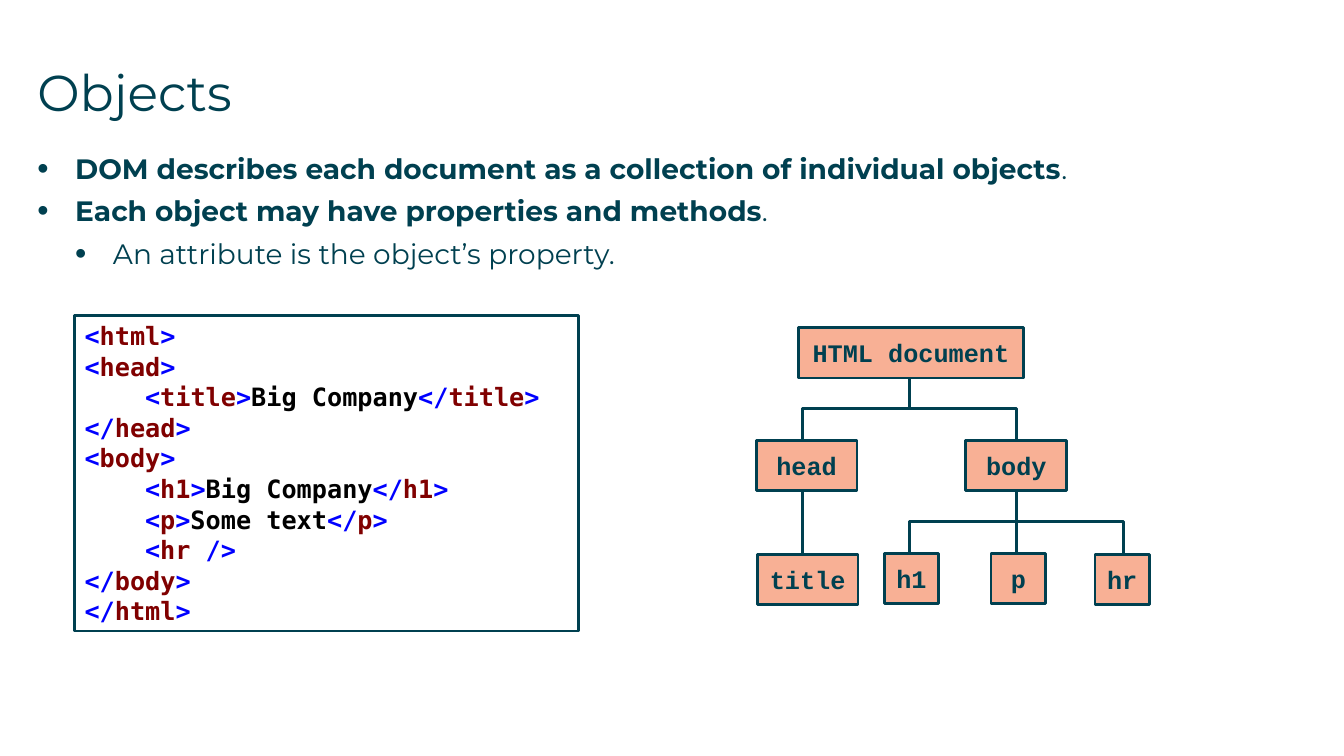
from itertools import cycle

from lxml import etree
from pptx import Presentation
from pptx.dml.color import RGBColor
from pptx.enum.shapes import MSO_CONNECTOR, MSO_SHAPE
from pptx.enum.text import MSO_ANCHOR, PP_ALIGN
from pptx.oxml.ns import qn
from pptx.util import Inches, Pt

RECTANGLE = MSO_SHAPE.RECTANGLE
PROCESS = MSO_SHAPE.FLOWCHART_PROCESS
STRAIGHT = MSO_CONNECTOR.STRAIGHT
ELBOW = MSO_CONNECTOR.ELBOW
TOP = MSO_ANCHOR.TOP
MIDDLE = MSO_ANCHOR.MIDDLE
LEFT = PP_ALIGN.LEFT
CENTER = PP_ALIGN.CENTER

COLORS = {
    "ink": "004050",
    "node": "F3622C",
    "paper": "FFFFFF",
    "bracket": "0000FF",
    "name": "800000",
    "text": "000000",
}


def add_span(para, text, font, size, color, bold=False):
    span = para.add_run()
    span.text = text
    span.font.name = font
    span.font.size = Pt(size)
    span.font.bold = bold
    span.font.color.rgb = RGBColor.from_string(COLORS[color])


def draw_line(kind, x1, y1, x2, y2):
    line = page.shapes.add_connector(kind, Inches(x1), Inches(y1), Inches(x2), Inches(y2))
    line.line.color.rgb = RGBColor.from_string(COLORS["ink"])
    line.line.width = Pt(2)
    etree.SubElement(line._element.spPr, qn("a:effectLst"))
    return line


deck = Presentation()
deck.slide_width = Inches(13.33)
deck.slide_height = Inches(7.5)
page = deck.slides.add_slide(deck.slide_layouts[1])
title = page.shapes.title
body = page.placeholders[1]

for holder, top, height in [(title, 0.61, 0.88), (body, 1.5, 1.48)]:
    holder.left, holder.top = Inches(0.37), Inches(top)
    holder.width, holder.height = Inches(12.6), Inches(height)
    frame = holder.text_frame
    frame.margin_left = frame.margin_right = frame.margin_top = frame.margin_bottom = 0
    frame.vertical_anchor = TOP
    frame.word_wrap = True

heading = title.text_frame.paragraphs[0]
heading.alignment = LEFT
add_span(heading, "Objects", "Montserrat", 36, "ink")

points = [
    (0, "DOM describes each document as a collection of individual objects", "."),
    (0, "Each object may have properties and methods", "."),
    (1, "", "An attribute is the object’s property."),
]
for index, (level, strong, plain) in enumerate(points):
    para = body.text_frame.paragraphs[0] if index == 0 else body.text_frame.add_paragraph()
    para.level = level
    para.line_spacing = 1.0
    para.space_before = Pt(0)
    para.space_after = Pt(6.5)
    props = para._p.get_or_add_pPr()
    props.set("marL", str(Inches(0.375 * (level + 1))))
    props.set("indent", str(Inches(-0.375)))
    etree.SubElement(props, qn("a:buSzPct"), val="115000")
    etree.SubElement(props, qn("a:buFont"), typeface="Arial")
    etree.SubElement(props, qn("a:buChar"), char="•")
    if strong:
        add_span(para, strong, "Montserrat", 20, "ink", True)
    add_span(para, plain, "Montserrat", 20, "ink")

code_box = page.shapes.add_shape(RECTANGLE, Inches(0.74), Inches(3.13), Inches(5), Inches(3.13))
code_box.shadow.inherit = False
code_box.fill.solid()
code_box.fill.fore_color.rgb = RGBColor.from_string(COLORS["paper"])
code_box.line.color.rgb = RGBColor.from_string(COLORS["ink"])
code_box.line.width = Pt(2)
code_box.text_frame.word_wrap = True
code_box.text_frame.vertical_anchor = TOP

code_lines = [
    (0, ["<", "html", ">"]),
    (0, ["<", "head", ">"]),
    (1, ["<", "title", ">", "Big Company", "</", "title", ">"]),
    (0, ["</", "head", ">"]),
    (0, ["<", "body", ">"]),
    (1, ["<", "h1", ">", "Big Company", "</", "h1", ">"]),
    (1, ["<", "p", ">", "Some text", "</", "p", ">"]),
    (1, ["<", "hr", " />"]),
    (0, ["</", "body", ">"]),
    (0, ["</", "html", ">"]),
]
for index, (depth, parts) in enumerate(code_lines):
    para = code_box.text_frame.paragraphs[0] if index == 0 else code_box.text_frame.add_paragraph()
    para.alignment = LEFT
    para.line_spacing = Pt(21.8)
    para._p.get_or_add_pPr().set("marL", str(Inches(0.6 * depth)))
    for part, color in zip(parts, cycle(["bracket", "name", "bracket", "text"])):
        add_span(para, part, "DejaVu Sans Mono", 18, color, True)

nodes = [
    ("HTML document", 7.92, 3.25, 2.23),
    ("head", 7.5, 4.37, 1),
    ("body", 9.58, 4.37, 1),
    ("title", 7.51, 5.5, 1),
    ("h1", 8.77, 5.49, 0.54),
    ("p", 9.83, 5.49, 0.54),
    ("hr", 10.86, 5.5, 0.54),
]
for label, left, top, width in nodes:
    box = page.shapes.add_shape(PROCESS, Inches(left), Inches(top), Inches(width), Inches(0.5))
    box.shadow.inherit = False
    box.fill.solid()
    box.fill.fore_color.rgb = RGBColor.from_string(COLORS["node"])
    tint = box._element.spPr.find(qn("a:solidFill"))[0]
    etree.SubElement(tint, qn("a:alpha"), val="50000")
    box.line.color.rgb = RGBColor.from_string(COLORS["ink"])
    box.line.width = Pt(2)
    box.text_frame.word_wrap = False
    box.text_frame.vertical_anchor = MIDDLE
    para = box.text_frame.paragraphs[0]
    para.alignment = CENTER
    add_span(para, label, "Courier New", 18, "ink", True)

step, drop = 1.06, 0.63
stems = [7.96 + step * column for column in range(4)]
draw_line(STRAIGHT, stems[0], 4.86, stems[0], 5.5)
draw_line(STRAIGHT, stems[2], 5.14, stems[2], 5.5)

for parent, parent_bottom in [(1, 3.74), (2, 4.86)]:
    for side in (-1, 1):
        center = stems[parent] + side * step / 2
        near, far = center + side * -drop / 2, center + side * drop / 2
        middle = parent_bottom + drop / 2
        branch = draw_line(ELBOW, near, middle + step / 2, far, middle - step / 2)
        branch._element.spPr.find(qn("a:xfrm")).set("rot", str((180 + 90 * side) * 60000))

deck.save("out.pptx")
